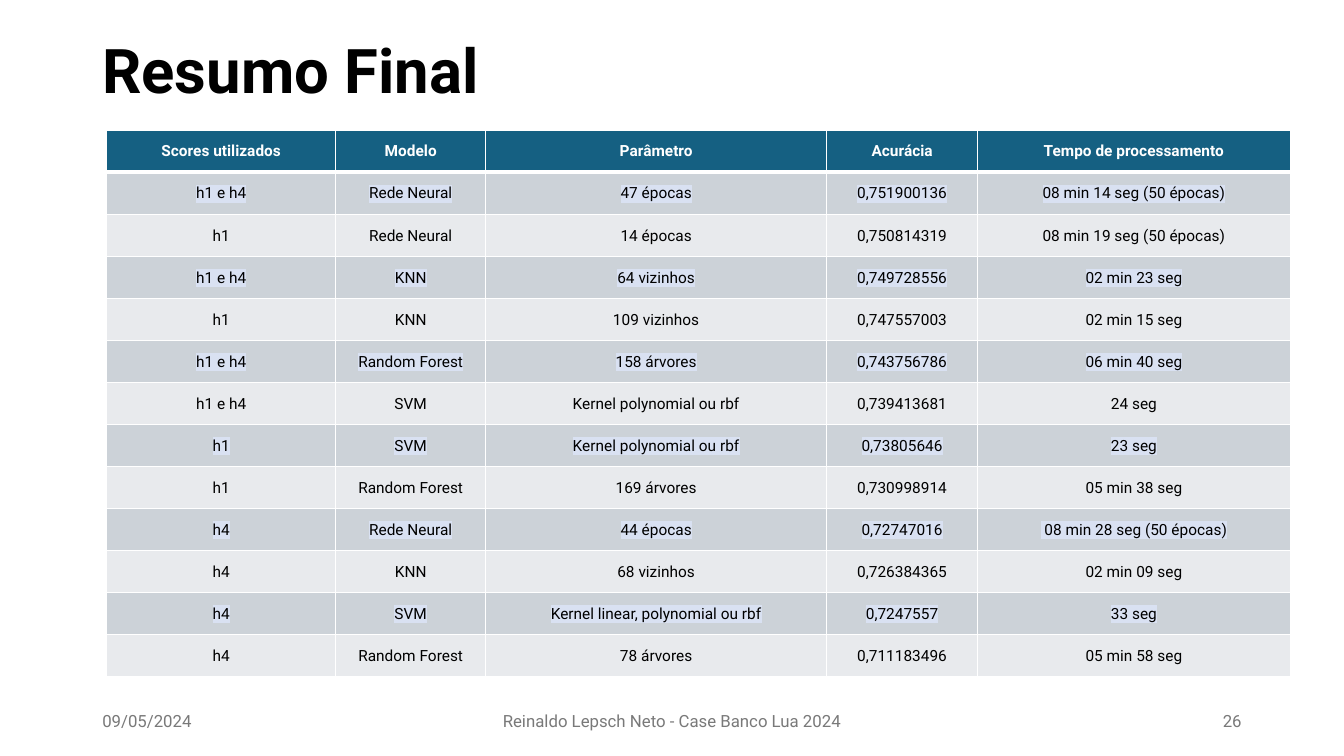
"""Builds the final summary slide comparing models, parameters, accuracy and processing time."""
from lxml import etree
from pptx import Presentation
from pptx.dml.color import RGBColor
from pptx.enum.text import MSO_ANCHOR, PP_ALIGN
from pptx.oxml.ns import qn
from pptx.util import Inches, Pt

LEFT, CENTER, RIGHT = PP_ALIGN.LEFT, PP_ALIGN.CENTER, PP_ALIGN.RIGHT
MIDDLE = MSO_ANCHOR.MIDDLE

BLACK = RGBColor(0x00, 0x00, 0x00)
WHITE = RGBColor(0xFF, 0xFF, 0xFF)
GRAY = RGBColor(0x79, 0x79, 0x79)
TEAL = RGBColor(0x15, 0x60, 0x82)
DARK_BAND = RGBColor(0xCC, 0xD2, 0xD8)
LIGHT_BAND = RGBColor(0xE8, 0xEA, 0xED)
MARKER = RGBColor(0xD9, 0xE1, 0xF2)

GRID_COLUMNS, GRID_ROWS = 160, 90
TITLE = {"size": Pt(44), "bold": True}
FOOTER = {"size": Pt(12), "bold": False}
HEADER = {"size": Pt(11), "bold": True}
BODY = {"size": Pt(11), "bold": False}

COLUMN_SPANS = [27.24, 17.88, 40.56, 18, 37.2]
ROW_SPAN = 5.01
RESULTS = [
    ["Scores utilizados", "Modelo", "Parâmetro", "Acurácia", "Tempo de processamento"],
    ["h1 e h4", "Rede Neural", "47 épocas", "0,751900136", "08 min 14 seg (50 épocas)"],
    ["h1", "Rede Neural", "14 épocas", "0,750814319", "08 min 19 seg (50 épocas)"],
    ["h1 e h4", "KNN", "64 vizinhos", "0,749728556", "02 min 23 seg"],
    ["h1", "KNN", "109 vizinhos", "0,747557003", "02 min 15 seg"],
    ["h1 e h4", "Random Forest", "158 árvores", "0,743756786", "06 min 40 seg"],
    ["h1 e h4", "SVM", "Kernel polynomial ou rbf", "0,739413681", "24 seg"],
    ["h1", "SVM", "Kernel polynomial ou rbf", "0,73805646", "23 seg"],
    ["h1", "Random Forest", "169 árvores", "0,730998914", "05 min 38 seg"],
    ["h4", "Rede Neural", "44 épocas", "0,72747016", " 08 min 28 seg (50 épocas)"],
    ["h4", "KNN", "68 vizinhos", "0,726384365", "02 min 09 seg"],
    ["h4", "SVM", "Kernel linear, polynomial ou rbf", "0,7247557", "33 seg"],
    ["h4", "Random Forest", "78 árvores", "0,711183496", "05 min 58 seg"],
]


class SummaryPage:
    """Holds the font, the grid and the current slide."""

    def __init__(self, deck, font_name):
        self.font_name = font_name
        self.column = deck.slide_width / GRID_COLUMNS
        self.row = deck.slide_height / GRID_ROWS
        self.page = deck.slides.add_slide(deck.slide_layouts[6])

    def area(self, left, top, width, height):
        """Converts grid units to slide lengths."""
        return (round(left * self.column), round(top * self.row),
                round(width * self.column), round(height * self.row))

    def add_span(self, frame, text, formats, color, align):
        """Adds one formatted line and returns its span."""
        para = frame.paragraphs[0]
        para.alignment = align
        span = para.add_run()
        span.text = text
        for name, value in {"name": self.font_name, **formats}.items():
            setattr(span.font, name, value)
        span.font.color.rgb = color
        return span

    def text(self, place, text, formats, color, align=LEFT):
        """Adds a text box centred vertically."""
        frame = self.page.shapes.add_textbox(*self.area(*place)).text_frame
        frame.word_wrap = True
        frame.vertical_anchor = MIDDLE
        self.add_span(frame, text, formats, color, align)
        frame.paragraphs[0].line_spacing = 0.9 if formats is TITLE else 1.0

    def highlight(self, span, color):
        """Puts a marker colour behind a span."""
        marker = etree.Element(qn("a:highlight"))
        etree.SubElement(marker, qn("a:srgbClr"), val=str(color))
        span._r.rPr.find(qn("a:solidFill")).addnext(marker)

    def borders(self, cell, widths):
        """Draws white cell borders with the given widths."""
        properties = cell._tc.get_or_add_tcPr()
        for index, (side, width) in enumerate(widths.items()):
            line = etree.Element(qn(f"a:ln{side}"), w=str(Pt(width)))
            fill = etree.SubElement(line, qn("a:solidFill"))
            etree.SubElement(fill, qn("a:srgbClr"), val=str(WHITE))
            properties.insert(index, line)

    def cell(self, cell, text, row_number):
        """Fills one table cell according to its row."""
        is_header, is_marked = row_number == 0, row_number % 2 == 1
        formats = {"vertical_anchor": MIDDLE, "margin_left": Inches(0.01),
                   "margin_right": Inches(0.01), "margin_top": Inches(0.01),
                   "margin_bottom": 0}
        for name, value in formats.items():
            setattr(cell, name, value)
        cell.fill.solid()
        cell.fill.fore_color.rgb = TEAL if is_header else DARK_BAND if is_marked else LIGHT_BAND
        span = self.add_span(cell.text_frame, text, HEADER if is_header else BODY,
                             WHITE if is_header else BLACK, CENTER)
        if is_marked:
            self.highlight(span, MARKER)
        self.borders(cell, {"L": 1, "R": 1, "T": 3 if row_number == 1 else 1,
                            "B": 3 if is_header else 1})

    def table(self, left, top, column_spans, row_span, records):
        """Adds a banded table."""
        place = self.area(left, top, sum(column_spans), row_span * len(records))
        table = self.page.shapes.add_table(len(records), len(column_spans), *place).table
        for column, width in zip(table.columns, column_spans):
            column.width = round(width * self.column)
        for row_number, (row, record) in enumerate(zip(table.rows, records)):
            row.height = round(row_span * self.row)
            for cell, text in zip(row.cells, record):
                self.cell(cell, text, row_number)


def main():
    """Builds and saves the deck."""
    deck = Presentation()
    deck.slide_width, deck.slide_height = Inches(13.33), Inches(7.5)
    summary = SummaryPage(deck, "Roboto")
    summary.text((11, 0, 138, 17.4), "Resumo Final", TITLE, BLACK)
    footers = [(11, 36, "09/05/2024", LEFT),
               (113, 36, "26", RIGHT),
               (53, 54, "Reinaldo Lepsch Neto - Case Banco Lua 2024", CENTER)]
    for left, width, text, align in footers:
        summary.text((left, 83.4, width, 4.8), text, FOOTER, GRAY, align)
    summary.table(12.72, 15.48, COLUMN_SPANS, ROW_SPAN, RESULTS)
    deck.save("out.pptx")


if __name__ == "__main__":
    main()
